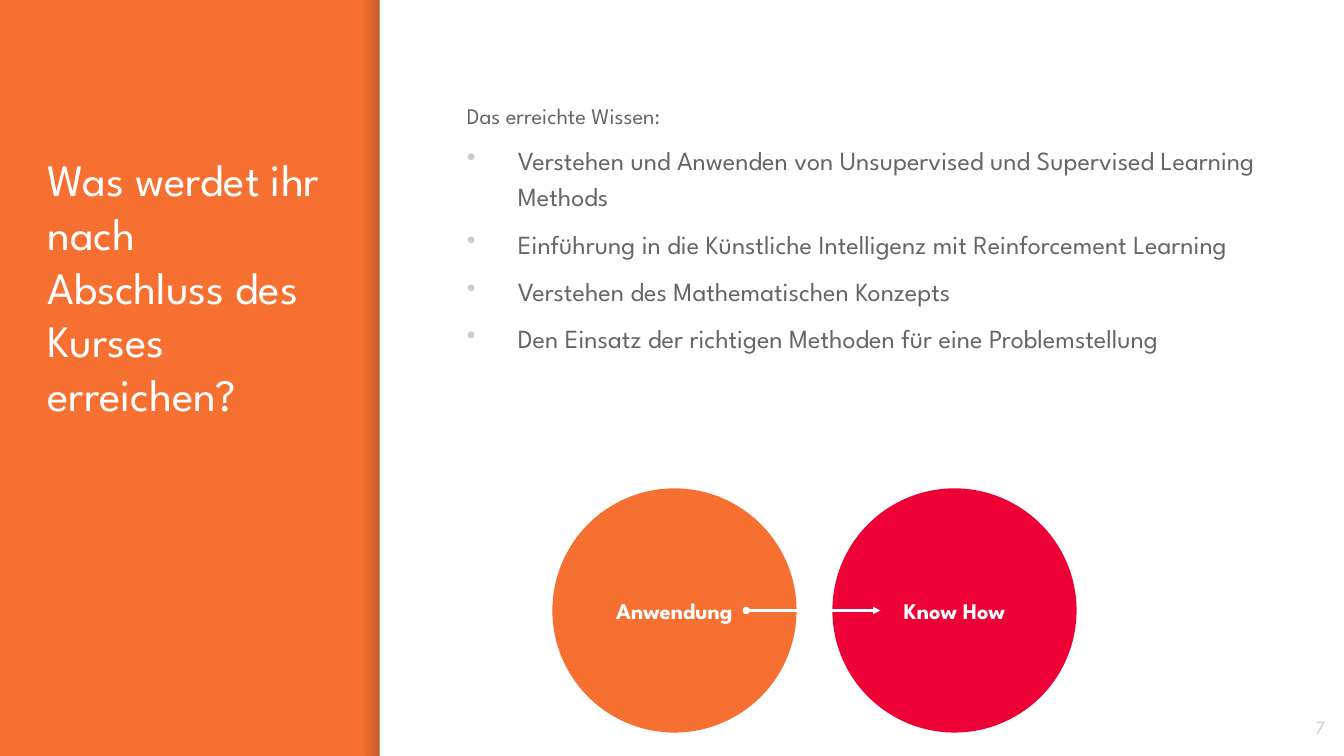
from collections import namedtuple

from lxml.etree import SubElement
from pptx import Presentation
from pptx.dml.color import RGBColor
from pptx.enum.shapes import MSO_CONNECTOR, MSO_SHAPE
from pptx.enum.text import MSO_ANCHOR, PP_ALIGN
from pptx.oxml.ns import qn
from pptx.util import Inches, Pt

FONT = "League Spartan"
ORANGE, RED, WHITE, GREY, PALE, SHADE = "F67031", "ED0036", "FFFFFF", "666666", "CCCCCC", "000014"
TITLE = "Was werdet ihr nach Abschluss des Kurses erreichen?"
INTRO = "Das erreichte Wissen:"
GOALS = [
    "Verstehen und Anwenden von Unsupervised und Supervised Learning Methods",
    "Einführung in die Künstliche Intelligenz mit Reinforcement Learning",
    "Verstehen des Mathematischen Konzepts",
    "Den Einsatz der richtigen Methoden für eine Problemstellung",
]
Box = namedtuple("Box", "x y w h")


def rgb(value):
    """Turn a hex string into a colour."""
    return RGBColor.from_string(value)


def share(box, x, y, w, h):
    """Return the part of a box given as percentages of its size."""
    return Box(int(box.x + box.w * x / 100), int(box.y + box.h * y / 100),
               int(box.w * w / 100), int(box.h * h / 100))


def add_plain(s, kind, box, color):
    """Add a flat filled shape without outline or shadow."""
    sp = s.shapes.add_shape(kind, *box)
    sp.shadow.inherit = False
    sp.line.fill.background()
    sp.fill.solid()
    sp.fill.fore_color.rgb = rgb(color)
    return sp


def prepare_frame(sp, anchor=MSO_ANCHOR.TOP):
    """Set wrapping, margins and anchor, and return the text frame."""
    tf = sp.text_frame
    tf.word_wrap = True
    tf.vertical_anchor = anchor
    tf.margin_left = tf.margin_right = tf.margin_top = tf.margin_bottom = Inches(0.1)
    return tf


def write(p, text, size, color, align=PP_ALIGN.LEFT, bold=False):
    """Fill a paragraph with one formatted run."""
    p.text = text
    p.alignment = align
    font = p.runs[0].font
    font.name, font.size, font.bold = FONT, Pt(size), bold
    font.color.rgb = rgb(color)


def add_bullet(p):
    """Give a paragraph a pale bullet with a hanging indent."""
    pPr = p._p.get_or_add_pPr()
    pPr.set("marL", str(Inches(0.38)))
    pPr.set("indent", str(-Inches(0.38)))
    SubElement(SubElement(pPr, qn("a:buClr")), qn("a:srgbClr"), val=PALE)
    SubElement(pPr, qn("a:buChar"), char="•")


def add_panels(s, box):
    """Place the white panel and the shade along its left edge."""
    edge = add_plain(s, MSO_SHAPE.RECTANGLE, share(box, 27, 0, 1.25, 100), SHADE)
    edge.fill.gradient()
    edge.fill.gradient_angle = 0
    for stop, position in zip(edge.fill.gradient_stops, (0, 1)):
        stop.position = position
        stop.color.rgb = rgb(SHADE)
    for clr, alpha in zip(edge._element.spPr.iter(qn("a:srgbClr")), (0, 20000)):
        SubElement(clr, qn("a:alpha"), val=str(alpha))
    add_plain(s, MSO_SHAPE.RECTANGLE, share(box, 28.25, 0, 71.75, 100), WHITE)


def add_title(s, box):
    """Place the title one line below the top of its box."""
    tf = prepare_frame(s.shapes.add_textbox(*box))
    tf.margin_top = Inches(0.5)
    write(tf.paragraphs[0], TITLE, 24, WHITE)


def add_body(s, box):
    """Place the intro line and the bulleted goals."""
    tf = prepare_frame(s.shapes.add_textbox(*box))
    for i, text in enumerate([INTRO] + GOALS):
        p = tf.add_paragraph() if i else tf.paragraphs[0]
        write(p, text, 14 if i else 12, GREY)
        p.line_spacing = 1.15
        p.space_before = Pt(6)
        if i:
            add_bullet(p)


def add_number(s, box):
    """Place the slide number."""
    tf = prepare_frame(s.shapes.add_textbox(*box), MSO_ANCHOR.MIDDLE)
    write(tf.paragraphs[0], "7", 10, PALE, PP_ALIGN.RIGHT)


def add_diagram(s, box):
    """Place a circle at each end of the box and an arrow between them."""
    circles = (("Anwendung", ORANGE, box.x), ("Know How", RED, box.x + box.w - box.h))
    for label, color, left in circles:
        sp = add_plain(s, MSO_SHAPE.OVAL, Box(left, box.y, box.h, box.h), color)
        tf = prepare_frame(sp, MSO_ANCHOR.MIDDLE)
        write(tf.paragraphs[0], label, 12, WHITE, PP_ALIGN.CENTER, True)
    span = share(box, 37, 50, 25.6, 0)
    arrow = s.shapes.add_connector(MSO_CONNECTOR.STRAIGHT, span.x, span.y, span.x + span.w, span.y)
    arrow.line.color.rgb = rgb(WHITE)
    arrow.line.width = Pt(1.5)
    ln = arrow.line._get_or_add_ln()
    for end, kind in (("a:headEnd", "oval"), ("a:tailEnd", "triangle")):
        SubElement(ln, qn(end), type=kind, w="sm", len="sm")
    SubElement(arrow._element.spPr, qn("a:effectLst"))


def main():
    """Build and save the slide."""
    prs = Presentation()
    prs.slide_width = Inches(10)
    prs.slide_height = int(prs.slide_width * 9 / 16)
    s = prs.slides.add_slide(prs.slide_layouts[6])
    s.background.fill.solid()
    s.background.fill.fore_color.rgb = rgb(ORANGE)
    page = Box(0, 0, prs.slide_width, prs.slide_height)
    add_panels(s, page)
    add_title(s, share(page, 2.55, 11.2, 22.4, 77.4))
    add_body(s, share(page, 33.75, 11.2, 61.2, 53.7))
    add_number(s, share(page, 93.6, 92.35, 6, 7.65))
    add_diagram(s, share(page, 41.1, 64.6, 39, 32.3))
    prs.save("out.pptx")


if __name__ == "__main__":
    main()
